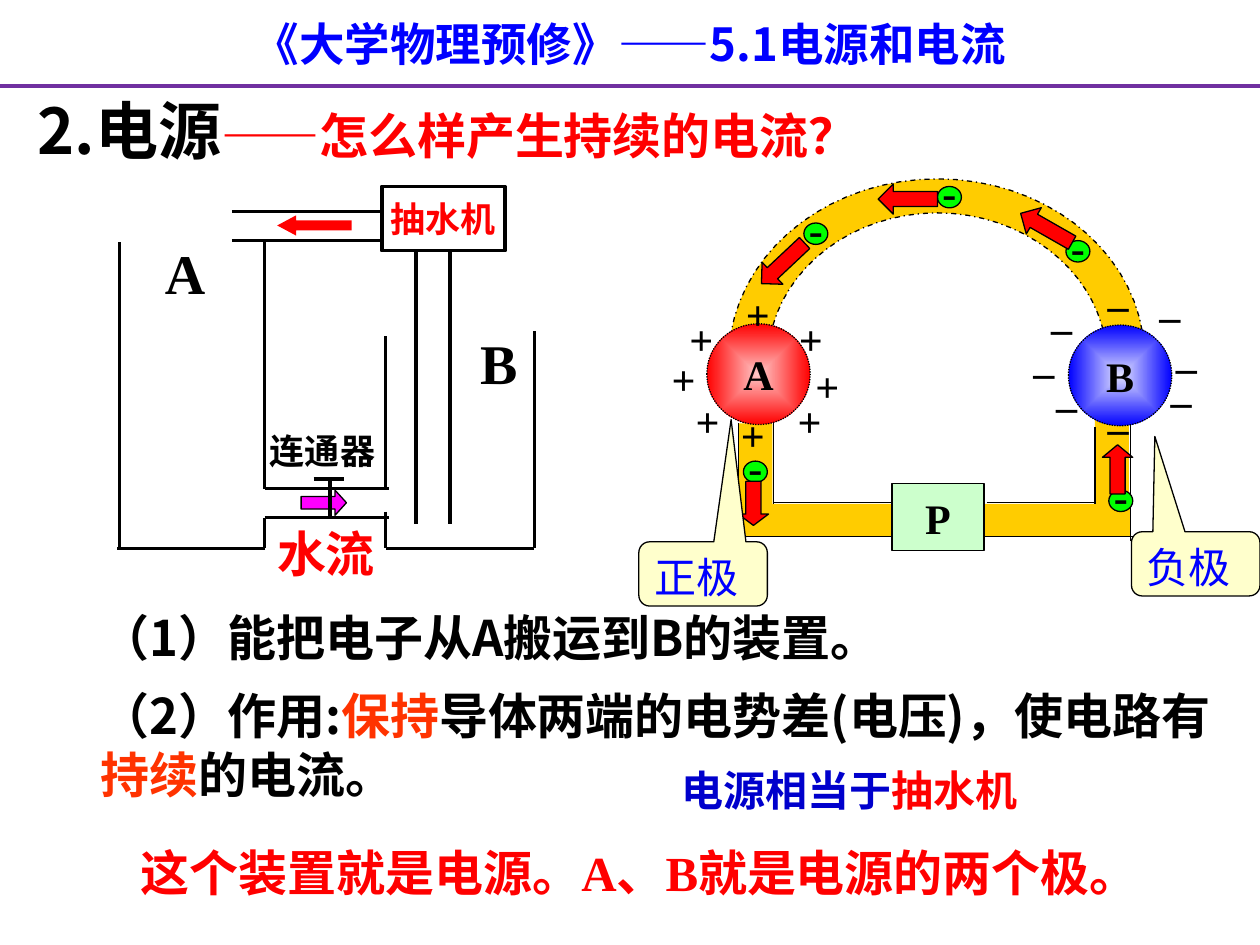
from dataclasses import dataclass

from lxml import etree
from pptx import Presentation, util as u
from pptx.dml.color import RGBColor
from pptx.enum import dml, shapes, text
from pptx.oxml import ns

SHAPE = shapes.MSO_SHAPE


@dataclass(frozen=True)
class Theme:
    sans: str = "Noto Sans CJK SC"
    plain: str = "Noto Sans CJK JP"
    serif: str = "Times New Roman"
    black: str = "000000"
    white: str = "FFFFFF"
    red: str = "FF0000"
    orange: str = "FF3300"
    blue: str = "0000FF"
    navy: str = "0000CC"
    purple: str = "7030A0"
    magenta: str = "FF00FF"
    wire: str = "FFCC00"
    electron: str = "00FF00"
    load: str = "CCFFCC"
    note: str = "FFFFCC"
    light_red: str = "FFC6C6"
    light_blue: str = "DFDFFF"
    title: int = 36
    letter: int = 32
    body: int = 28
    header: int = 26
    label: int = 24
    small: int = 20


THEME = Theme()


def write(paragraph, content, size=THEME.label, font=THEME.serif, color=THEME.black,
          bold=True, align="LEFT", before=0):
    """Fill a paragraph; content is a string or a list of (text, color, size)."""
    runs = [(content, color, size)] if isinstance(content, str) else content
    paragraph.alignment = getattr(text.PP_ALIGN, align)
    paragraph.space_before = u.Pt(before)
    paragraph.line_spacing = u.Pt(1.2 * max(run[2] for run in runs))
    for words, run_color, run_size in runs:
        run = paragraph.add_run()
        run.text = words
        run.font.size, run.font.bold, run.font.name = u.Pt(run_size), bold, font
        run.font.color.rgb = RGBColor.from_string(run_color)
        east_asian = THEME.sans if font == THEME.serif else font
        etree.SubElement(run.font._element, ns.qn("a:ea"), typeface=east_asian)


def set_frame(frame, anchor="TOP", wrap=False):
    frame.auto_size = text.MSO_AUTO_SIZE.NONE
    frame.vertical_anchor = getattr(text.MSO_ANCHOR, anchor)
    frame.word_wrap = wrap
    return frame.paragraphs[0]


@dataclass
class Region:
    """A part of the slide; its contents are placed from its top left corner."""
    slide: object
    left: float
    top: float

    def point(self, x, y):
        return u.Inches(self.left + x), u.Inches(self.top + y)

    def text(self, content, x, y, width, height, wrap=False, **style):
        box = self.slide.shapes.add_textbox(*self.point(x, y), u.Inches(width), u.Inches(height))
        write(set_frame(box.text_frame, wrap=wrap), content, **style)

    def paint(self, shape, fill, line=None, weight=0.75, dash=None):
        shape.shadow.inherit = False
        shape.fill.solid()
        shape.fill.fore_color.rgb = RGBColor.from_string(fill)
        if line:
            shape.line.color.rgb = RGBColor.from_string(line)
            shape.line.width = u.Pt(weight)
            if dash:
                shape.line.dash_style = dash
        else:
            shape.line.fill.background()
        return shape

    def shape(self, kind, x, y, width, height, fill, adjust=(), turn=0, **line):
        shape = self.slide.shapes.add_shape(
            kind, *self.point(x, y), u.Inches(width), u.Inches(height))
        for index, value in enumerate(adjust):
            shape.adjustments[index] = value
        shape.rotation = turn
        return self.paint(shape, fill, **line)

    def line(self, x1, y1, x2, y2, weight=0.75, color=THEME.black):
        line = self.slide.shapes.add_connector(
            shapes.MSO_CONNECTOR.STRAIGHT, *self.point(x1, y1), *self.point(x2, y2))
        line.line.color.rgb = RGBColor.from_string(color)
        line.line.width = u.Pt(weight)
        etree.SubElement(line._element.spPr, ns.qn("a:effectLst"))


def label(shape, words, anchor="MIDDLE", align="CENTER", **style):
    write(set_frame(shape.text_frame, anchor), words, align=align, **style)


def place(placeholder, left, top, width, height):
    placeholder.left, placeholder.top = u.Inches(left), u.Inches(top)
    placeholder.width, placeholder.height = u.Inches(width), u.Inches(height)
    return placeholder.text_frame


def draw_header(region):
    region.text("《大学物理预修》——5.1电源和电流", 0, 0.08, 10, 0.54, wrap=True,
                size=THEME.header, font=THEME.sans, color=THEME.blue, align="CENTER")
    region.line(0, 0.68, 10, 0.68, weight=2.25, color=THEME.purple)


def write_placeholders(slide):
    title = place(slide.shapes.title, 0.2, 0.68, 9.22, 0.71)
    write(set_frame(title, wrap=True), [
        ("2.电源", THEME.black, THEME.title),
        ("——怎么样产生持续的电流？", THEME.red, THEME.body)], font=THEME.sans)

    body = place(slide.placeholders[1], 0.7, 4.77, 9.02, 1.66)
    points = [
        [("（1）能把电子从A搬运到B的装置。", THEME.black)],
        [("（2）作用:", THEME.black), ("保持", THEME.orange),
         ("导体两端的电势差(电压)，使电路有", THEME.black),
         ("持续", THEME.orange), ("的电流。", THEME.black)]]
    paragraph = set_frame(body, wrap=True)
    for index, runs in enumerate(points):
        if index:
            paragraph = body.add_paragraph()
        properties = paragraph._p.get_or_add_pPr()
        properties.set("marL", "0")
        properties.set("indent", "0")
        etree.SubElement(properties, ns.qn("a:buNone"))
        write(paragraph, [(*run, THEME.body) for run in runs],
              font=THEME.sans, before=11 * index)


def curve(points, steps=16):
    """Points along a chain of cubic curves."""
    track = [points[0]]
    for first in range(0, len(points) - 1, 3):
        a, b, c, d = points[first:first + 4]
        for step in range(1, steps + 1):
            t = step / steps
            s = 1 - t
            track.append(tuple(s**3 * a[i] + 3 * s * s * t * b[i]
                               + 3 * s * t * t * c[i] + t**3 * d[i] for i in (0, 1)))
    return track


def draw_arc(region):
    inner = curve([(1.11, 1.29), (1.21, 0.72), (1.77, 0.29), (2.44, 0.29),
                   (3.1, 0.29), (3.67, 0.72), (3.77, 1.29)])
    outer = curve([(4.07, 1.25), (3.96, 0.54), (3.26, 0.02), (2.44, 0.02),
                   (1.62, 0.02), (0.92, 0.54), (0.8, 1.25)])
    track = [region.point(*point) for point in inner + outer]
    builder = region.slide.shapes.build_freeform(*track[0])
    builder.add_line_segments(track[1:], close=True)
    region.paint(builder.convert_to_shape(), THEME.wire, THEME.black,
                 dash=dml.MSO_LINE.DASH_DOT)


def draw_sphere(region, name, x, y, light, dark):
    sphere = region.shape(SHAPE.OVAL, x, y, 0.82, 0.8, dark, line=THEME.black,
                          dash=dml.MSO_LINE.ROUND_DOT)
    sphere.fill.gradient()
    for stop, color in zip(sphere.fill.gradient_stops, (light, dark)):
        stop.color.rgb = RGBColor.from_string(color)
    gradient = sphere._element.spPr.find(ns.qn("a:gradFill"))
    linear = gradient.find(ns.qn("a:lin"))
    radial = etree.Element(ns.qn("a:path"), path="shape")
    etree.SubElement(radial, ns.qn("a:fillToRect"), dict.fromkeys("ltrb", "50000"))
    gradient.replace(linear, radial)
    label(sphere, name)


def draw_circuit(region):
    for wire in [(0.86, 2.6, 1.22, 0.26), (2.8, 2.6, 1.17, 0.26),
                 (0.86, 1.96, 0.27, 0.68), (3.69, 1.88, 0.27, 0.72)]:
        region.shape(SHAPE.RECTANGLE, *wire, THEME.wire)
    for edge in [(3.69, 1.99, 3.69, 2.6), (3.97, 1.92, 3.97, 2.89), (2.83, 2.59, 3.69, 2.59),
                 (0.86, 1.96, 0.86, 2.86), (1.14, 2.59, 2.08, 2.59), (0.86, 2.86, 2.07, 2.86),
                 (1.14, 1.96, 1.14, 2.6), (2.79, 2.86, 4.01, 2.86)]:
        region.line(*edge)
    load = region.shape(SHAPE.RECTANGLE, 2.08, 2.44, 0.73, 0.53, THEME.load, line=THEME.black)
    label(load, "P")
    draw_arc(region)
    draw_sphere(region, "A", 0.61, 1.17, THEME.light_red, THEME.red)
    draw_sphere(region, "B", 3.48, 1.18, THEME.light_blue, THEME.blue)

    pluses = [(0.78, 1.8), (0.82, 0.84), (0.23, 1.36), (1.37, 1.41),
              (1.23, 1.69), (0.42, 1.69), (0.37, 1.04), (1.24, 1.04)]
    minuses = [(4.2, 1.14), (4.16, 1.41), (4.07, 0.74), (3.07, 1.18),
               (3.66, 1.63), (3.25, 1.45), (3.66, 0.65), (3.21, 0.83)]
    for sign, width, spots in [("+", 0.39, pluses), ("_", 0.43, minuses)]:
        for x, y in spots:
            region.text(sign, x, y, width, 0.5, align="CENTER")

    for x, y in [(0.9, 2.26), (3.8, 2.49), (2.44, 0.08), (1.38, 0.37), (3.46, 0.51)]:
        electron = region.shape(SHAPE.OVAL, x, y, 0.19, 0.17, THEME.electron, line=THEME.black)
        electron.text_frame.margin_bottom = u.Inches(0.13)
        label(electron, "-")
    for kind, x, y, width, height, head, turn in [
            (SHAPE.DOWN_ARROW, 0.86, 2.42, 0.24, 0.35, 0.375, 0),
            (SHAPE.UP_ARROW, 3.75, 2.13, 0.24, 0.39, 0.415, 0),
            (SHAPE.LEFT_ARROW, 3.07, 0.29, 0.47, 0.24, 0.5, 29.7),
            (SHAPE.LEFT_ARROW, 1.97, 0.06, 0.47, 0.24, 0.5, 0),
            (SHAPE.LEFT_ARROW, 0.98, 0.57, 0.47, 0.24, 0.5, 316.8)]:
        region.shape(kind, x, y, width, height, THEME.red, (0.5, head), turn, line=THEME.black)

    for words, x, y, tip in [("正极", 0.07, 2.9, (0.218, -2.402)),
                             ("负极", 3.98, 2.82, (-0.318, -1.983))]:
        callout = region.shape(SHAPE.ROUNDED_RECTANGULAR_CALLOUT, x, y, 1.02, 0.51,
                               THEME.note, (*tip, 0.167), line=THEME.black)
        label(callout, words, "TOP", "LEFT", font=THEME.plain, color=THEME.blue, bold=False)


def draw_water_model(region):
    vessels = [(0.05, 2.95, 0.05, 0.52), (1.2, 2.48, 1.2, 0.52), (1.2, 2.71, 2.19, 2.71),
               (1.2, 2.48, 2.19, 2.48), (0.03, 2.95, 1.2, 2.95), (1.2, 2.95, 1.2, 2.71),
               (2.16, 1.27, 2.16, 2.48), (2.16, 2.66, 2.16, 2.95),
               (2.16, 2.95, 3.34, 2.95), (3.34, 2.95, 3.34, 1.23)]
    pipes = [(0.94, 0.51, 2.32, 0.51), (0.94, 0.28, 2.55, 0.28),
             (2.67, 0.28, 2.67, 2.76), (2.4, 0.48, 2.4, 2.76)]
    valve = [(1.59, 2.4, 1.83, 2.4), (1.72, 2.4, 1.72, 2.71)]
    region.shape(SHAPE.RIGHT_ARROW, 1.49, 2.49, 0.36, 0.2, THEME.magenta, (0.5, 0.454),
                 line=THEME.black)
    for lines, weight in [(vessels, 1.75), (pipes, 2), (valve, 2.25)]:
        for line in lines:
            region.line(*line, weight=weight)
    pump = region.shape(SHAPE.RECTANGLE, 2.13, 0.08, 0.98, 0.51, THEME.white,
                        line=THEME.black, weight=2)
    label(pump, "抽水机", size=THEME.small, color=THEME.red)
    region.shape(SHAPE.LEFT_ARROW, 1.3, 0.31, 0.59, 0.16, THEME.red, (0.5, 0.934))
    region.text("A", 0.31, 0.44, 0.52, 0.63, size=THEME.letter, align="CENTER")
    region.text("B", 2.81, 1.16, 0.5, 0.63, size=THEME.letter, align="CENTER")
    region.text("连通器", 1.14, 1.96, 1.04, 0.43, size=THEME.small, align="CENTER")
    region.text("水流", 1.2, 2.71, 0.98, 0.57, size=THEME.body, color=THEME.red)


def write_conclusion(region):
    region.text([("电源相当于", THEME.navy, THEME.label), ("抽水机", THEME.red, THEME.label)],
                4.31, 0.02, 2.89, 0.51, font=THEME.plain)
    region.text("这个装置就是电源。A、B就是电源的两个极。", 0.02, 0.64, 8.21, 0.57,
                size=THEME.body, color=THEME.red)


def main():
    presentation = Presentation()
    presentation.slide_width, presentation.slide_height = u.Inches(10), u.Inches(7.5)
    slide = presentation.slides.add_slide(presentation.slide_layouts[1])
    draw_header(Region(slide, 0, 0))
    write_placeholders(slide)
    draw_circuit(Region(slide, 5, 1.4))
    draw_water_model(Region(slide, 0.9, 1.4))
    write_conclusion(Region(slide, 1, 6))
    presentation.save("out.pptx")


if __name__ == "__main__":
    main()
